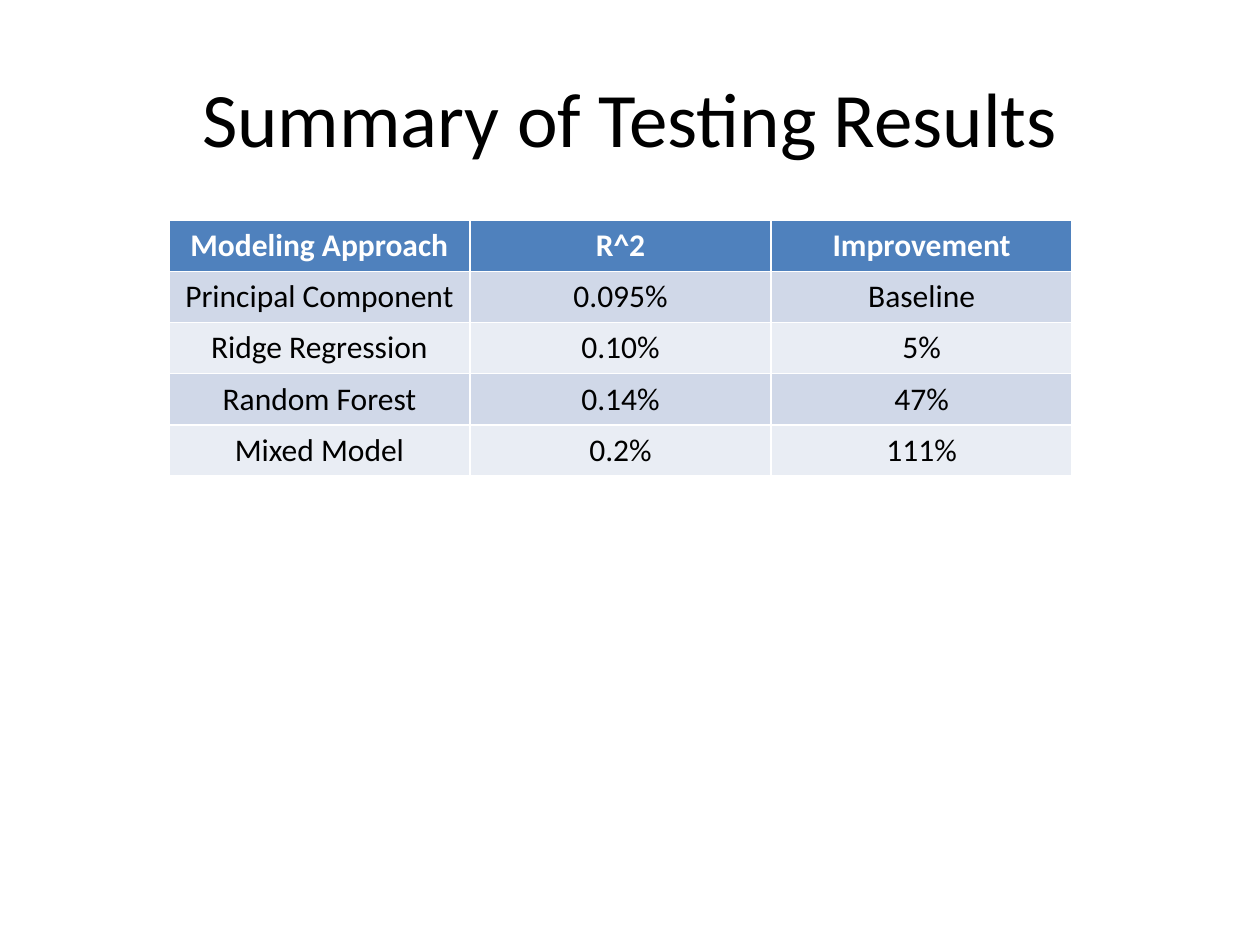
from pptx import Presentation
from pptx.dml.color import RGBColor
from pptx.enum.text import MSO_ANCHOR, PP_ALIGN
from pptx.util import Inches, Pt

COLORS = {
    "header": "4F81BD",
    "band_dark": "D0D8E8",
    "band_light": "E9EDF4",
    "header_text": "FFFFFF",
    "text": "000000",
}
WIDTH, HEIGHT = Inches(10), Inches(7.5)
TITLE_BOX = (0.05, 0.04, 0.9, 1 / 6)
RESULTS_BOX = (0.134, 0.2333, 0.717, 0.2704)
RESULTS = [
    ("Modeling Approach", "R^2", "Improvement"),
    ("Principal Component", "0.095%", "Baseline"),
    ("Ridge Regression", "0.10%", "5%"),
    ("Random Forest", "0.14%", "47%"),
    ("Mixed Model", "0.2%", "111%"),
]


def place(box):
    return [int(share * side) for share, side in zip(box, (WIDTH, HEIGHT) * 2)]


def write(frame, words, color, **formats):
    paragraph = frame.paragraphs[0]
    paragraph.alignment = PP_ALIGN.CENTER
    run = paragraph.add_run()
    run.text = words
    for attribute, value in {"name": "Calibri", **formats}.items():
        setattr(run.font, attribute, value)
    run.font.color.rgb = RGBColor.from_string(COLORS[color])


def add_title(slide, box, words):
    frame = slide.shapes.add_textbox(*place(box)).text_frame
    frame.word_wrap = True
    frame.vertical_anchor = MSO_ANCHOR.MIDDLE
    write(frame, words, "text", size=Pt(44))


def add_results(slide, box, results):
    table = slide.shapes.add_table(len(results), len(results[0]), *place(box)).table
    for row, entries in enumerate(results):
        is_header = row == 0
        band = "header" if is_header else "band_dark" if row % 2 else "band_light"
        for column, entry in enumerate(entries):
            cell = table.cell(row, column)
            cell.fill.solid()
            cell.fill.fore_color.rgb = RGBColor.from_string(COLORS[band])
            color = "header_text" if is_header else "text"
            write(cell.text_frame, entry, color, size=Pt(18), bold=is_header)


def main():
    deck = Presentation()
    deck.slide_width, deck.slide_height = WIDTH, HEIGHT
    slide = deck.slides.add_slide(deck.slide_layouts[6])
    add_title(slide, TITLE_BOX, "Summary of Testing Results")
    add_results(slide, RESULTS_BOX, RESULTS)
    deck.save("out.pptx")


if __name__ == "__main__":
    main()
